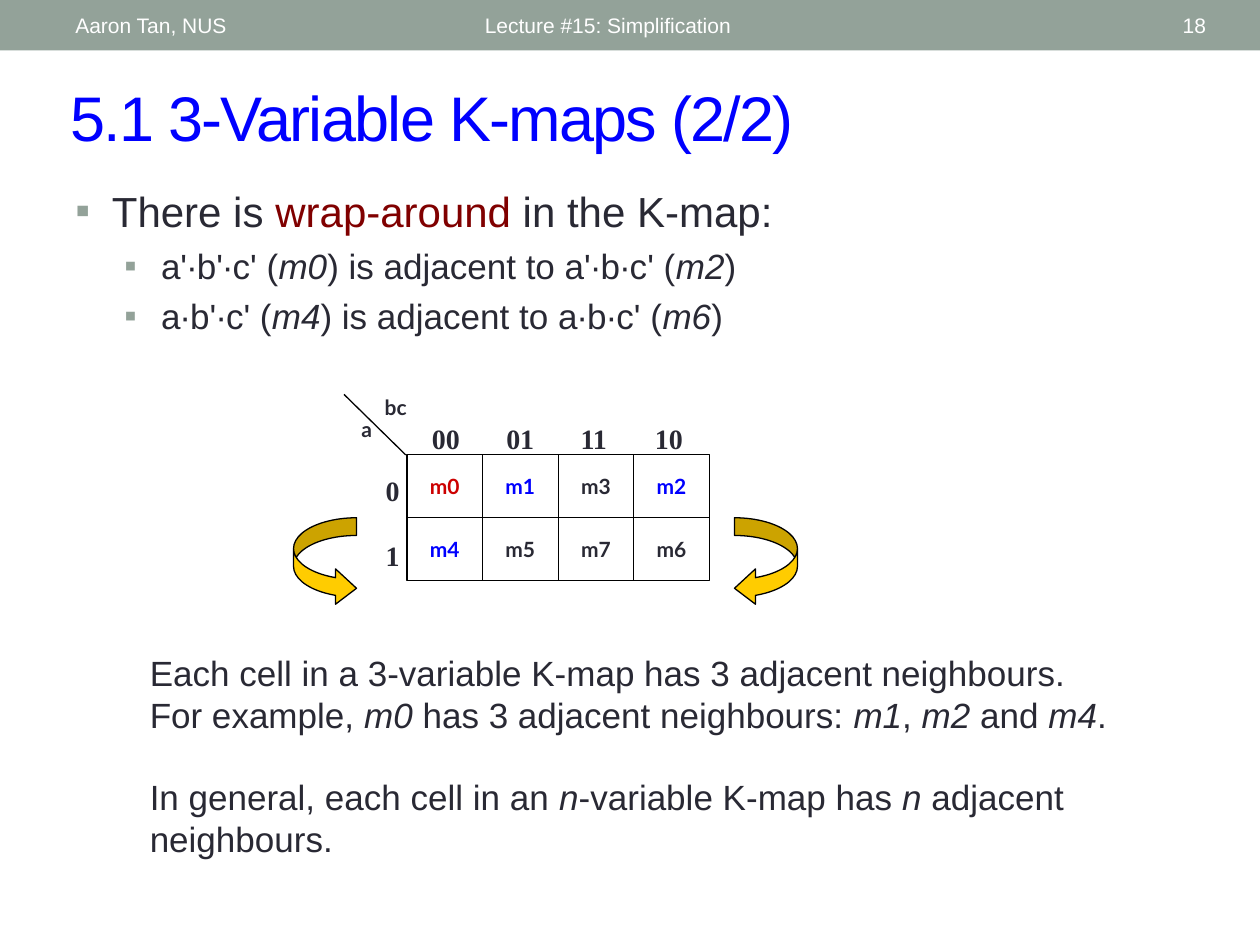
from dataclasses import dataclass

from lxml import etree
from pptx import Presentation
from pptx.dml.color import RGBColor
from pptx.enum.shapes import MSO_CONNECTOR, MSO_SHAPE
from pptx.enum.text import MSO_ANCHOR, PP_ALIGN
from pptx.oxml.ns import qn
from pptx.util import Inches, Pt

LEFT, CENTER, RIGHT = PP_ALIGN.LEFT, PP_ALIGN.CENTER, PP_ALIGN.RIGHT
TOP, MIDDLE = MSO_ANCHOR.TOP, MSO_ANCHOR.MIDDLE
RECTANGLE, CURVED_ARROW = MSO_SHAPE.RECTANGLE, MSO_SHAPE.CURVED_RIGHT_ARROW
STRAIGHT = MSO_CONNECTOR.STRAIGHT


@dataclass(frozen=True)
class Theme:
    band: str = "93A299"
    white: str = "FFFFFF"
    black: str = "000000"
    ink: str = "292934"
    blue: str = "0000FF"
    red: str = "CC0000"
    maroon: str = "800000"
    gold: str = "FFCC00"
    sans: str = "Arial"
    cell_font: str = "Lato"
    serif: str = "Times New Roman"
    title: int = 36
    lead: int = 24
    body: int = 20
    axis: int = 16
    small: int = 12
    line: float = 0.75


THEME = Theme()
HEADER = {"name": THEME.sans, "size": THEME.small, "color": THEME.white}
TITLE = {"name": THEME.sans, "size": THEME.title, "color": THEME.blue}
LEAD = {"name": THEME.sans, "size": THEME.lead, "color": THEME.ink}
BODY = LEAD | {"size": THEME.body}
CELL = {"name": THEME.cell_font, "size": THEME.small, "color": THEME.ink, "bold": True}
MINTERM = CELL | {"italic": True}
AXIS = {"name": THEME.serif, "size": THEME.axis, "color": THEME.ink, "bold": True}


def italicize(text):
    """Split text at asterisks into runs; every second run is italic."""
    return [(part, {"italic": index % 2 == 1})
            for index, part in enumerate(text.split("*"))]


class SlideBuilder:
    def __init__(self, slide, theme):
        self.slide = slide
        self.theme = theme

    def text(self, box, paragraphs, style, align=LEFT, anchor=TOP):
        """Each paragraph is a string or a dict with runs and layout values."""
        shape = self.slide.shapes.add_textbox(*map(Inches, box))
        frame = shape.text_frame
        frame.word_wrap = True
        frame.vertical_anchor = anchor
        for index, content in enumerate(paragraphs):
            if isinstance(content, str):
                content = {"runs": italicize(content)}
            paragraph = frame.add_paragraph() if index else frame.paragraphs[0]
            paragraph.alignment = align
            if "before" in content:
                paragraph.space_before = Pt(content["before"])
            if "indent" in content:
                self.bullet(paragraph, content["indent"], content.get("level", 0))
            if "tabs" in content:
                self.tabs(paragraph, content["tabs"])
            for words, changes in content["runs"]:
                self.run(paragraph, words, style | content.get("style", {}) | changes)
        return shape

    def run(self, paragraph, words, style):
        run = paragraph.add_run()
        run.text = words
        values = dict(style)
        run.font.color.rgb = RGBColor.from_string(values.pop("color"))
        values["size"] = Pt(values["size"])
        for name, value in values.items():
            setattr(run.font, name, value)

    def bullet(self, paragraph, indent, level):
        paragraph.level = level
        properties = paragraph._p.get_or_add_pPr()
        properties.set("marL", str(Inches(indent)))
        properties.set("indent", str(Inches(-0.29)))
        color = etree.SubElement(properties, qn("a:buClr"))
        etree.SubElement(color, qn("a:srgbClr"), val=self.theme.band)
        etree.SubElement(properties, qn("a:buFont"), typeface=self.theme.sans)
        etree.SubElement(properties, qn("a:buChar"), char="▪")

    def tabs(self, paragraph, positions):
        tab_list = etree.SubElement(paragraph._p.get_or_add_pPr(), qn("a:tabLst"))
        for position in positions:
            etree.SubElement(tab_list, qn("a:tab"), pos=str(Inches(position)), algn="l")

    def outline(self, line):
        line.color.rgb = RGBColor.from_string(self.theme.black)
        line.width = Pt(self.theme.line)

    def shape(self, kind, box, fill=None, outlined=True):
        shape = self.slide.shapes.add_shape(kind, *map(Inches, box))
        shape.shadow.inherit = False
        if fill:
            shape.fill.solid()
            shape.fill.fore_color.rgb = RGBColor.from_string(fill)
        else:
            shape.fill.background()
        if outlined:
            self.outline(shape.line)
        else:
            shape.line.fill.background()
        return shape

    def line(self, start, end):
        connector = self.slide.shapes.add_connector(STRAIGHT, *map(Inches, start + end))
        self.outline(connector.line)
        etree.SubElement(connector._element.spPr, qn("a:effectLst"))

    def wrap_arrow(self, left, top, flipped):
        arrow = self.shape(CURVED_ARROW, (left, top, 0.5, 0.7), self.theme.gold)
        for index, value in enumerate((0.281, 0.561, 0.333)):
            arrow.adjustments[index] = value
        if flipped:
            arrow._element.spPr.xfrm.set("flipH", "1")

    def karnaugh_map(self, left, top, rows, colors):
        cell_width, cell_height = 0.6, 0.5
        width, height = cell_width * len(rows[0]), cell_height * len(rows)
        right, bottom = left + width, top + height
        self.shape(RECTANGLE, (left, top, width, height))
        for row in range(1, len(rows)):
            y = top + row * cell_height
            self.line((left, y), (right, y))
        for column in range(1, len(rows[0])):
            x = left + column * cell_width
            self.line((x, top), (x, bottom))
        for row, names in enumerate(rows):
            for column, name in enumerate(names):
                box = (left + column * cell_width, top + row * cell_height + 0.1,
                       cell_width, 0.4)
                color = colors.get(name, self.theme.ink)
                self.text(box, [name], MINTERM | {"color": color}, CENTER)


def main():
    presentation = Presentation()
    presentation.slide_width, presentation.slide_height = Inches(10), Inches(7.5)
    slide = presentation.slides.add_slide(presentation.slide_layouts[6])
    builder = SlideBuilder(slide, THEME)

    builder.shape(RECTANGLE, (0, 0, 10, 0.4), THEME.band, outlined=False)
    title = builder.text((0.46, 0.57, 9.07, 0.7), ["5.1 3-Variable K-maps (2/2)"],
                         TITLE, anchor=MIDDLE)
    title.text_frame.paragraphs[0].runs[0].font._element.set("spc", "-100")
    for left, width, words, align in (
            (3.75, 4.5, "Lecture #15: Simplification", LEFT),
            (8.72, 0.95, "18", RIGHT),
            (0.5, 3.17, "Aaron Tan, NUS", LEFT)):
        builder.text((left, 0.02, width, 0.36), [words], HEADER, align, MIDDLE)

    lead = {"indent": 0.29, "runs": [("There is ", {}),
                                     ("wrap-around", {"color": THEME.maroon}),
                                     (" in the K-map:", {})]}
    examples = [{"indent": 0.68, "level": 1, "before": 5, "style": BODY,
                 "runs": italicize(words)}
                for words in ("a'∙b'∙c' (*m0*) is adjacent to a'∙b∙c' (*m2*)",
                              "a∙b'∙c' (*m4*) is adjacent to a∙b∙c' (*m6*)")]
    builder.text((0.5, 1.42, 9, 1.53), [lead] + examples, LEAD)

    builder.karnaugh_map(
        3.23, 3.61, [["m0", "m1", "m3", "m2"], ["m4", "m5", "m7", "m6"]],
        {"m0": THEME.red, "m1": THEME.blue, "m2": THEME.blue, "m4": THEME.blue})
    builder.text((2.93, 3.71, 0.34, 0.85),
                 ["0", {"before": 18, "runs": [("1", {})]}], AXIS, RIGHT)
    builder.text((3.33, 3.3, 2.24, 0.4),
                 [{"tabs": [0.59 * step for step in (1, 2, 3)],
                   "runs": [("00\t01\t11\t10", {})]}], AXIS)
    builder.line((3.22, 3.61), (2.73, 3.13))
    builder.text((2.69, 3.26, 0.44, 0.4), ["a"], CELL, CENTER)
    builder.text((2.88, 3.08, 0.52, 0.32), ["bc"], CELL, CENTER)
    for left, flipped in ((2.33, False), (5.83, True)):
        builder.wrap_arrow(left, 4.11, flipped)

    builder.text((1.09, 5.12, 7.88, 1.73), [
        "Each cell in a 3-variable K-map has 3 adjacent neighbours. "
        "For example, *m0* has 3 adjacent neighbours: *m1*, *m2* and *m4*.",
        {"before": 23, "runs": italicize(
            "In general, each cell in an *n*-variable K-map has *n* adjacent neighbours.")},
    ], BODY)
    presentation.save("out.pptx")


if __name__ == "__main__":
    main()
